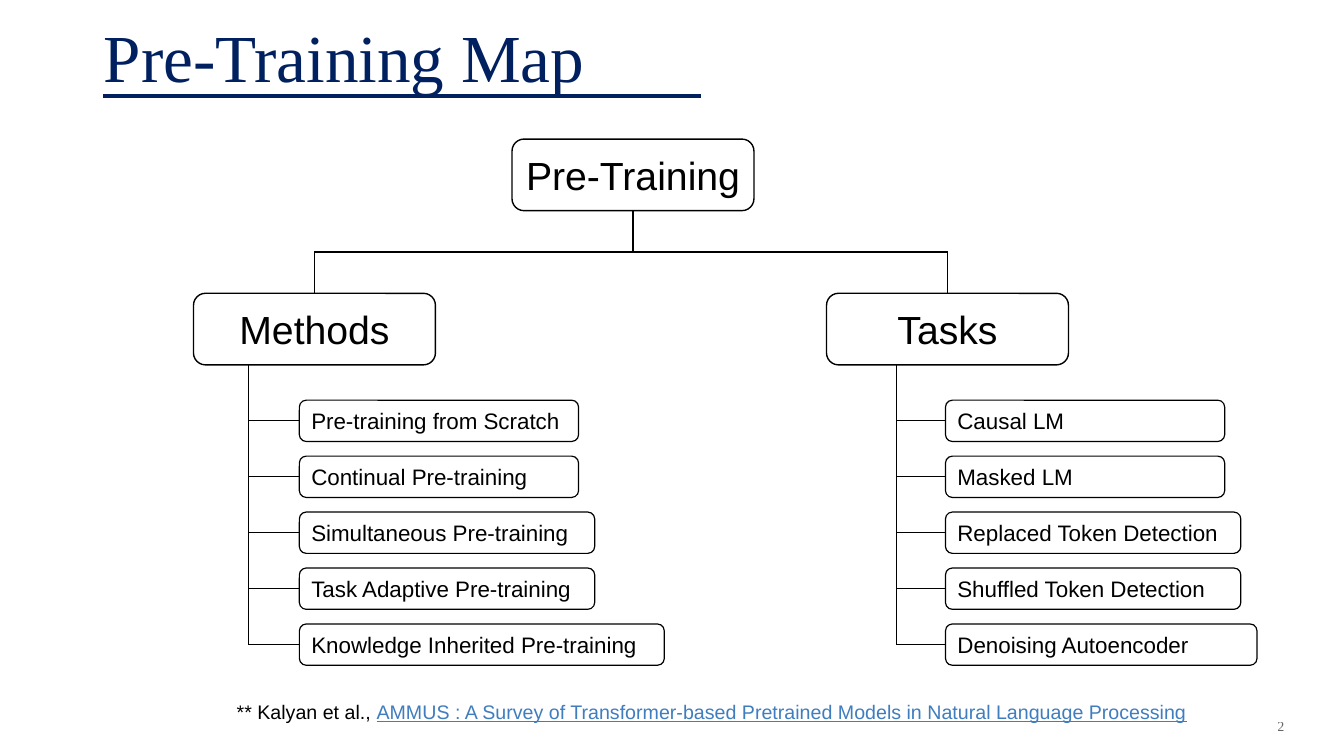
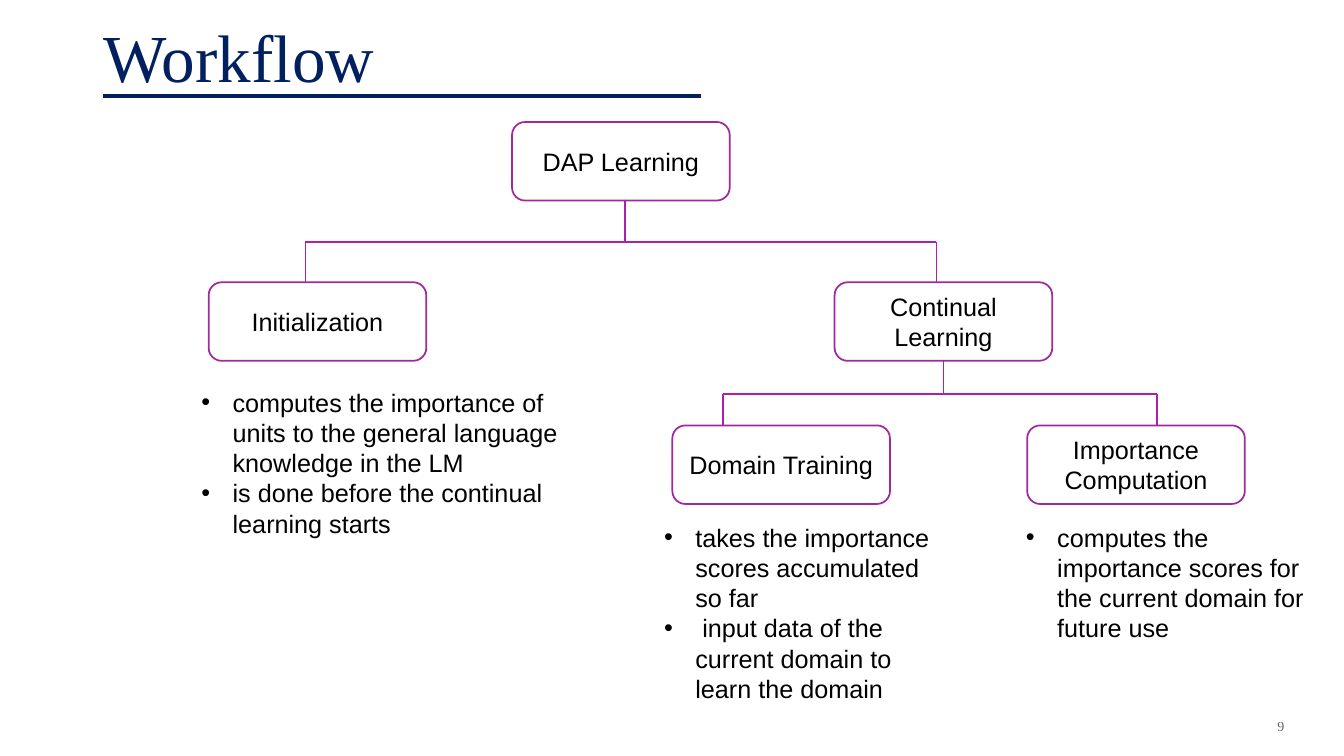
"""Builds two tree diagrams on pre-training and on a learning workflow."""
import pptx
import pptx.dml.color
import pptx.enum.shapes
import pptx.enum.text
import pptx.oxml
import pptx.oxml.ns
import pptx.util
from lxml import etree

CELL = 0.1
NAVY, BLACK, LINK = "002060", "000000", "3F7DBF"
PURPLE, MAGENTA = "A0299E", "AB21A9"
SERIF, SANS = "Times New Roman", "Arial"
ALIGN = pptx.enum.text.PP_ALIGN
ANCHOR = pptx.enum.text.MSO_ANCHOR
BOTTOM_SITE, LEFT_SITE, TOP_SITE = 2, 1, 0


def cells(count):
    return pptx.util.Inches(count * CELL)


def color(value):
    return pptx.dml.color.RGBColor.from_string(value)


def add_child(parent, tag, **attributes):
    return etree.SubElement(parent, pptx.oxml.ns.qn(tag), **attributes)


class Deck:
    def __init__(self):
        self.presentation = pptx.Presentation()
        self.presentation.slide_width = cells(133.33)
        self.presentation.slide_height = cells(75)
        self.layout = self.presentation.slide_layouts[5]
        self.slide = None

    def start_slide(self, title, number):
        first = self.slide is None
        self.slide = self.presentation.slides.add_slide(self.layout)
        if first:
            rule = self.line((10.2, 9.5), (69.5, 9.5), NAVY, 2.5)
            self.layout.shapes.element.append(rule.element)
        shape = self.slide.shapes.title
        shape.left, shape.top = cells(9.3), cells(-2.2)
        shape.width, shape.height = cells(115.3), cells(12.2)
        frame = shape.text_frame
        frame.text = title
        frame.auto_size = pptx.enum.text.MSO_AUTO_SIZE.NONE
        frame.vertical_anchor = ANCHOR.BOTTOM
        self.style(frame.paragraphs[0], 48, NAVY, SERIF, ALIGN.LEFT)
        self.page_number(number)

    def style(self, paragraph, size, fill=BLACK, face=SANS, align=ALIGN.LEFT):
        paragraph.alignment = align
        paragraph.font.size = pptx.util.Pt(size)
        paragraph.font.name = face
        paragraph.font.color.rgb = color(fill)

    def page_number(self, number):
        frame = self.text_frame(109.2, 69.5, 19.2, 5)
        frame.vertical_anchor = ANCHOR.MIDDLE
        paragraph = frame.paragraphs[0]
        paragraph.text = str(number)
        self.style(paragraph, 10, face=SERIF, align=ALIGN.RIGHT)
        properties = paragraph._p.pPr.find(pptx.oxml.ns.qn("a:defRPr"))
        properties.set("spc", "200")
        add_child(properties.find(".//" + pptx.oxml.ns.qn("a:srgbClr")), "a:alpha", val="60000")

    def text_frame(self, left, top, width, height):
        shape = self.slide.shapes.add_textbox(*map(cells, (left, top, width, height)))
        shape.text_frame.word_wrap = True
        return shape.text_frame

    def box(self, text, left, top, width, height, size, stroke=BLACK, weight=1.0, align=ALIGN.CENTER):
        shape = self.slide.shapes.add_shape(
            pptx.enum.shapes.MSO_SHAPE.ROUNDED_RECTANGLE, *map(cells, (left, top, width, height)))
        shape.shadow.inherit = False
        shape.fill.background()
        shape.line.color.rgb = color(stroke)
        shape.line.width = pptx.util.Pt(weight)
        frame = shape.text_frame
        frame.word_wrap = True
        frame.vertical_anchor = ANCHOR.MIDDLE
        if align == ALIGN.CENTER:
            frame.margin_left = frame.margin_right = cells(0.5)
        frame.text = text
        self.style(frame.paragraphs[0], size, align=align)
        return shape

    def line(self, start, end, stroke, weight):
        connector = self.slide.shapes.add_connector(
            pptx.enum.shapes.MSO_CONNECTOR.STRAIGHT, *map(cells, (*start, *end)))
        connector.line.color.rgb = color(stroke)
        connector.line.width = pptx.util.Pt(weight)
        add_child(connector.element.spPr, "a:effectLst")
        return connector

    def bracket(self, parent, children, bar, places, stroke):
        ends = []
        sites = [(parent, BOTTOM_SITE)] + [(child, TOP_SITE) for child in children]
        for (shape, site), place in zip(sites, places):
            middle = (shape.left + shape.width / 2) / cells(1)
            joined = abs(middle - place) < 0.25
            x = middle if joined else place
            edge = shape.top + (shape.height if site == BOTTOM_SITE else 0)
            stem = self.line((x, edge / cells(1)), (x, bar), stroke, 1.25)
            if joined:
                stem.begin_connect(shape, site)
            ends.append(x)
        self.line((ends[1], bar), (ends[2], bar), stroke, 1.75)

    def branch(self, spine, left, top, items):
        pitch, height = 5.55, 4.1
        for index, (text, width) in enumerate(items):
            leaf_top = 39.7 + index * pitch
            leaf = self.box(text, left, leaf_top, width, height, 16, weight=0.85, align=ALIGN.LEFT)
            middle = leaf_top + height / 2
            twig = self.line((spine, middle), (left, middle), BLACK, 0.75)
            twig.end_connect(leaf, LEFT_SITE)
        self.line((spine, top), (spine, middle), BLACK, 0.75)

    def bullets(self, left, top, width, height, items):
        frame = self.text_frame(left, top, width, height)
        for index, text in enumerate(items):
            paragraph = frame.add_paragraph() if index else frame.paragraphs[0]
            paragraph.text = text
            properties = paragraph._p.get_or_add_pPr()
            properties.set("marL", str(cells(3.1)))
            properties.set("indent", str(-cells(3.1)))
            add_child(properties, "a:buFont", typeface=SANS)
            add_child(properties, "a:buChar", char="•")
            self.style(paragraph, 18)

    def citation(self, lead, source):
        paragraph = self.text_frame(22.5, 68.9, 99, 3.4).paragraphs[0]
        paragraph.add_run().text = lead
        run = paragraph.add_run()
        run.text = source
        self.style(paragraph, 14)
        run.font.color.rgb = color(LINK)
        run.font.underline = True


def build_map(deck):
    deck.start_slide("Pre-Training Map", 2)
    root, methods, tasks = [
        deck.box(text, left, top, 24, 7.1, 28)
        for text, left, top in (("Pre-Training", 50.8, 13.8), ("Methods", 19.2, 29.1), ("Tasks", 82, 29.1))]
    deck.bracket(root, (methods, tasks), 25, (62.8, 31.2, 93.8), BLACK)
    deck.branch(24.7, 29.7, 36.2, (
        ("Pre-training from Scratch", 27.7),
        ("Continual Pre-training", 27.7),
        ("Simultaneous Pre-training", 29.3),
        ("Task Adaptive Pre-training", 29.3),
        ("Knowledge Inherited Pre-training", 36.2)))
    deck.branch(88.9, 93.8, 36.2, (
        ("Causal LM", 27.7),
        ("Masked LM", 27.7),
        ("Replaced Token Detection", 29.3),
        ("Shuffled Token Detection", 29.3),
        ("Denoising Autoencoder", 30.9)))
    deck.citation("** Kalyan et al., ",
                  "AMMUS : A Survey of Transformer-based Pretrained Models in Natural Language Processing")


def build_workflow(deck):
    deck.start_slide("Workflow", 9)
    root, initialization, continual, training, importance = [
        deck.box(text, left, top, 21.6, 7.8, 18, PURPLE, 1.25)
        for text, left, top in (
            ("DAP Learning", 50.8, 12.1),
            ("Initialization", 20.7, 28),
            ("Continual Learning", 82.8, 28),
            ("Domain Training", 66.7, 42.2),
            ("Importance Computation", 101.9, 42.2))]
    deck.bracket(root, (initialization, continual), 24, (62, 30.3, 92.9), MAGENTA)
    deck.bracket(continual, (training, importance), 39.1, (93.5, 71.7, 114.8), MAGENTA)
    deck.bullets(19, 37.9, 38.3, 19.2, (
        "computes the importance of units to the general language knowledge in the LM",
        "is done before the continual learning starts"))
    deck.bullets(64.9, 51.3, 28.4, 19.2, (
        "takes the importance scores accumulated so far",
        " input data of the current domain to learn the domain"))
    deck.bullets(100.8, 51.3, 30.7, 13.1, (
        "computes the importance scores for the current domain for future use",))


def main():
    deck = Deck()
    build_map(deck)
    build_workflow(deck)
    deck.presentation.save("out.pptx")


if __name__ == "__main__":
    main()
